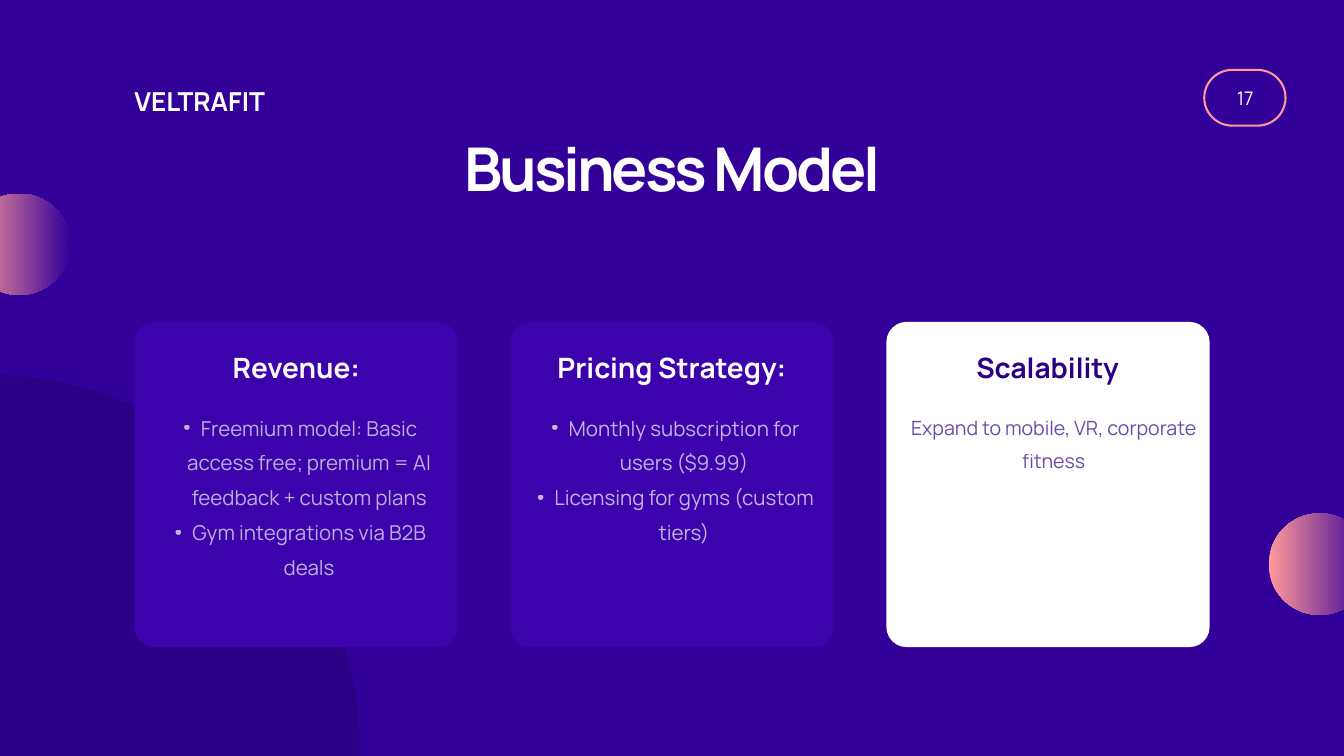
from lxml import etree
from pptx import Presentation
from pptx.dml.color import RGBColor
from pptx.enum.shapes import MSO_SHAPE as SHAPE
from pptx.enum.text import MSO_ANCHOR, MSO_AUTO_SIZE, PP_ALIGN
from pptx.oxml.ns import qn
from pptx.util import Inches, Pt

BG, DARK, CARD = "330099", "2C0084", "3C03AD"
PINK, WHITE, CREAM = "FF9999", "FFFFFF", "F8F8F6"
rgb = RGBColor.from_string


def add_shape(kind, x, y, w, h, fill=None):
    sp = s.shapes.add_shape(kind, Inches(x), Inches(y), Inches(w), Inches(h))
    sp.shadow.inherit = False
    sp.line.fill.background()
    if fill:
        sp.fill.solid()
        sp.fill.fore_color.rgb = rgb(fill)
    else:
        sp.fill.background()
    return sp


def put_text(sp, box, lines, size, color, spacing, bold=False,
             align=PP_ALIGN.CENTER, alpha=None, bullet=False):
    sp.left, sp.top, sp.width, sp.height = [Inches(v) for v in box]
    tf = sp.text_frame
    tf.text = "\n".join(lines)
    tf.word_wrap = True
    tf.auto_size = MSO_AUTO_SIZE.NONE
    tf.vertical_anchor = MSO_ANCHOR.TOP
    tf.margin_left = tf.margin_right = tf.margin_top = tf.margin_bottom = 0
    for p in tf.paragraphs:
        p.alignment = align
        p.line_spacing = Pt(spacing)
        p.space_before = Pt(0)
        if bullet:
            pPr = p._p.get_or_add_pPr()
            pPr.set("marL", str(Inches(0.52)))
            pPr.set("indent", str(Inches(-0.26)))
            etree.SubElement(pPr, qn("a:buFont")).set("typeface", "Arial")
            etree.SubElement(pPr, qn("a:buChar")).set("char", "•")
        for r in p.runs:
            r.font.name = "Manrope"
            r.font.size = Pt(size)
            r.font.bold = bold
            r.font.color.rgb = rgb(color)
            if alpha:
                clr = r._r.rPr.find(".//" + qn("a:srgbClr"))
                etree.SubElement(clr, qn("a:alpha")).set("val", str(alpha * 1000))


prs = Presentation()
prs.slide_width, prs.slide_height = Inches(20), Inches(11.25)
s = prs.slides.add_slide(prs.slide_layouts[3])
title, revenue, pricing = s.placeholders
s.background.fill.solid()
s.background.fill.fore_color.rgb = rgb(BG)

# Background circles
add_shape(SHAPE.OVAL, -5.89, 5.57, 11.25, 11.25, DARK)
for x, y in [(-0.47, 2.88), (18.88, 7.64)]:
    sp = add_shape(SHAPE.OVAL, x, y, 1.51, 1.51)
    sp.fill.gradient()
    sp.fill.gradient_angle = 0
    for stop, color, pos in zip(sp.fill.gradient_stops, (PINK, BG), (0, 1)):
        stop.color.rgb = rgb(color)
        stop.position = pos

# Header: name, page number and title
put_text(s.shapes.add_textbox(0, 0, 0, 0), (2, 1.36, 2.6, 0.42), ["VELTRAFIT"],
         28, WHITE, 26.8, bold=True, align=PP_ALIGN.LEFT)
pill = add_shape(SHAPE.ROUNDED_RECTANGLE, 17.92, 1.04, 1.21, 0.83)
pill.adjustments[0] = 0.5
pill.line.color.rgb = rgb(PINK)
pill.line.width = Pt(2.25)
put_text(s.shapes.add_textbox(0, 0, 0, 0), (17.74, 1.23, 1.58, 0.39), ["17"],
         20, WHITE, 28)
put_text(title, (4.75, 2.06, 10.52, 1.06), ["Business Model"],
         64.6, WHITE, 69.7, bold=True)
title.text_frame.paragraphs[0].runs[0]._r.rPr.set("spc", "-320")

# Cards: fill, heading, text colour, heading centre, text left
cards = [(CARD, "Revenue:", CREAM, 4.41, 2.01),
         (CARD, "Pricing Strategy:", WHITE, 10, 7.59),
         (WHITE, "Scalability", DARK, 15.59, 13.35)]
bodies = [(revenue, ["Freemium model: Basic access free; premium = AI feedback + custom plans",
                     "Gym integrations via B2B deals"]),
          (pricing, ["Monthly subscription for users ($9.99)",
                     "Licensing for gyms (custom tiers)"]),
          (None, ["Expand to mobile, VR, corporate fitness"])]
for i, ((fill, heading, color, cx, x), (body, lines)) in enumerate(zip(cards, bodies)):
    card = add_shape(SHAPE.ROUNDED_RECTANGLE, 2 + i * 5.595, 4.79, 4.81, 4.84, fill)
    card.adjustments[0] = 0.0625
    put_text(s.shapes.add_textbox(0, 0, 0, 0), (cx - 2.05, 5.01, 4.1, 0.67),
             [heading], 30, color, 51, bold=True)
    if body:
        s.shapes._spTree.append(body._element)  # bring the list above its card
        put_text(body, (x, 6.03, 4.66, 3.05), lines, 22, color, 37.4,
                 alpha=70, bullet=True)
    else:
        put_text(s.shapes.add_textbox(0, 0, 0, 0), (x, 6.04, 4.66, 0.96), lines,
                 21, color, 35.7, alpha=70)

prs.save("out.pptx")
